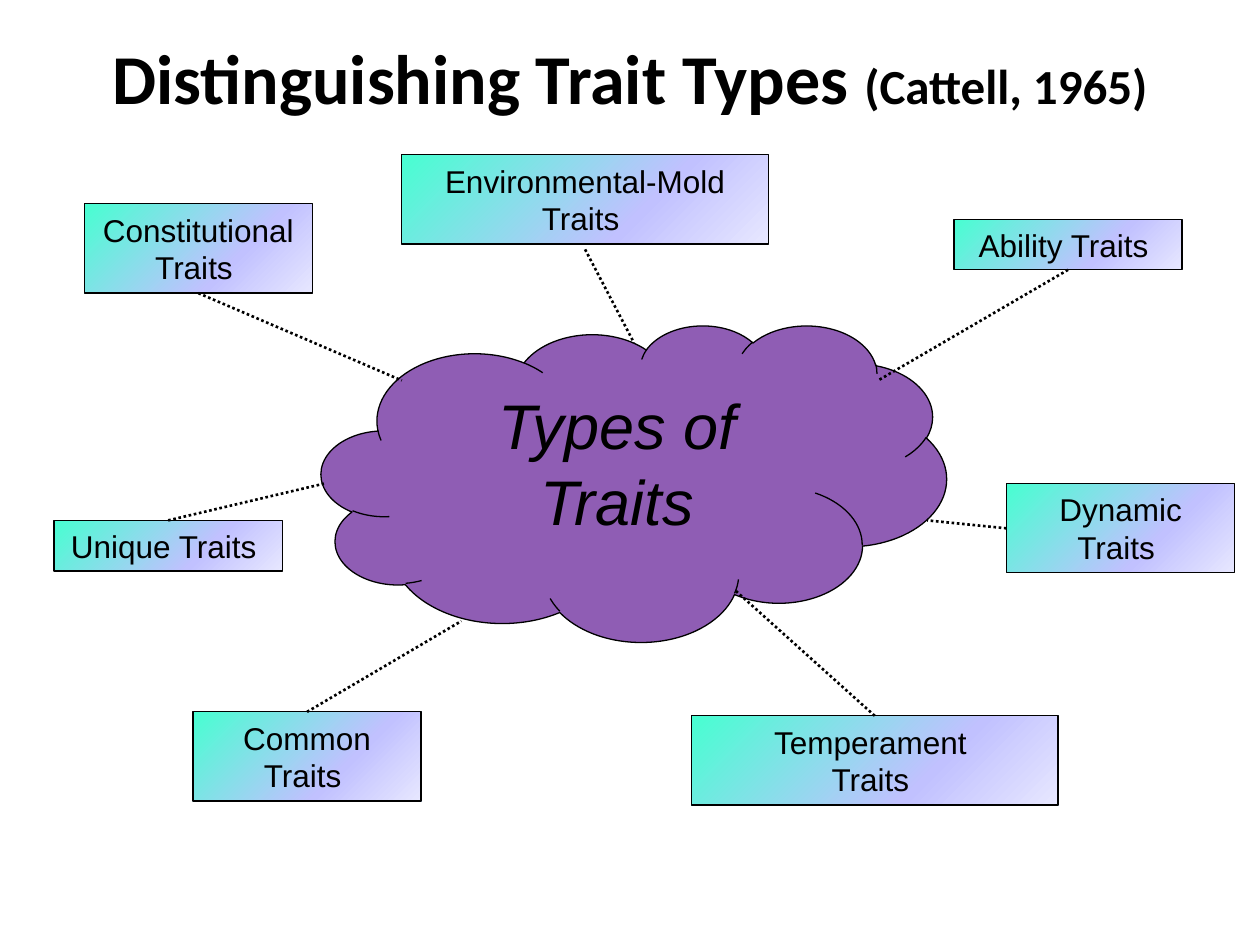
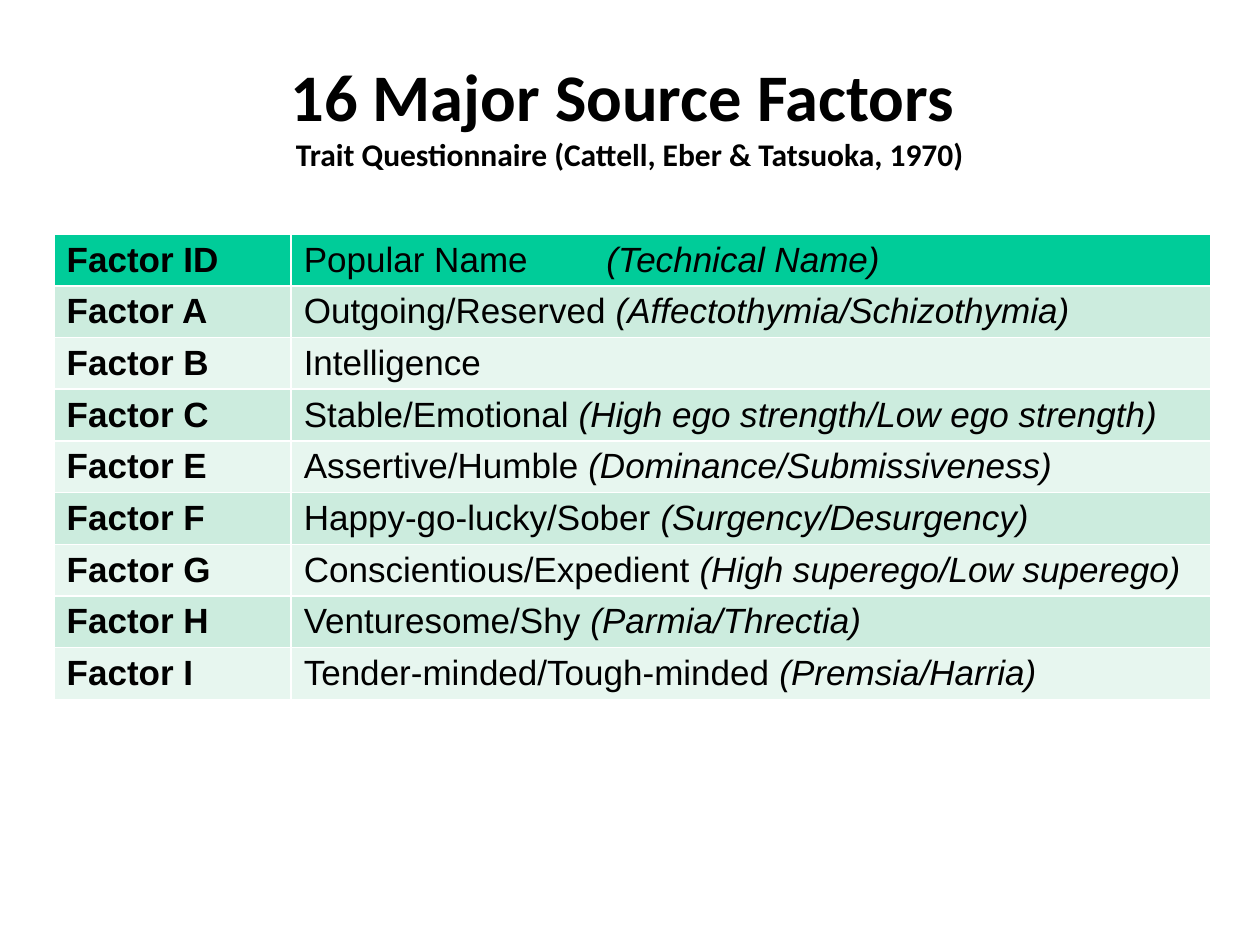
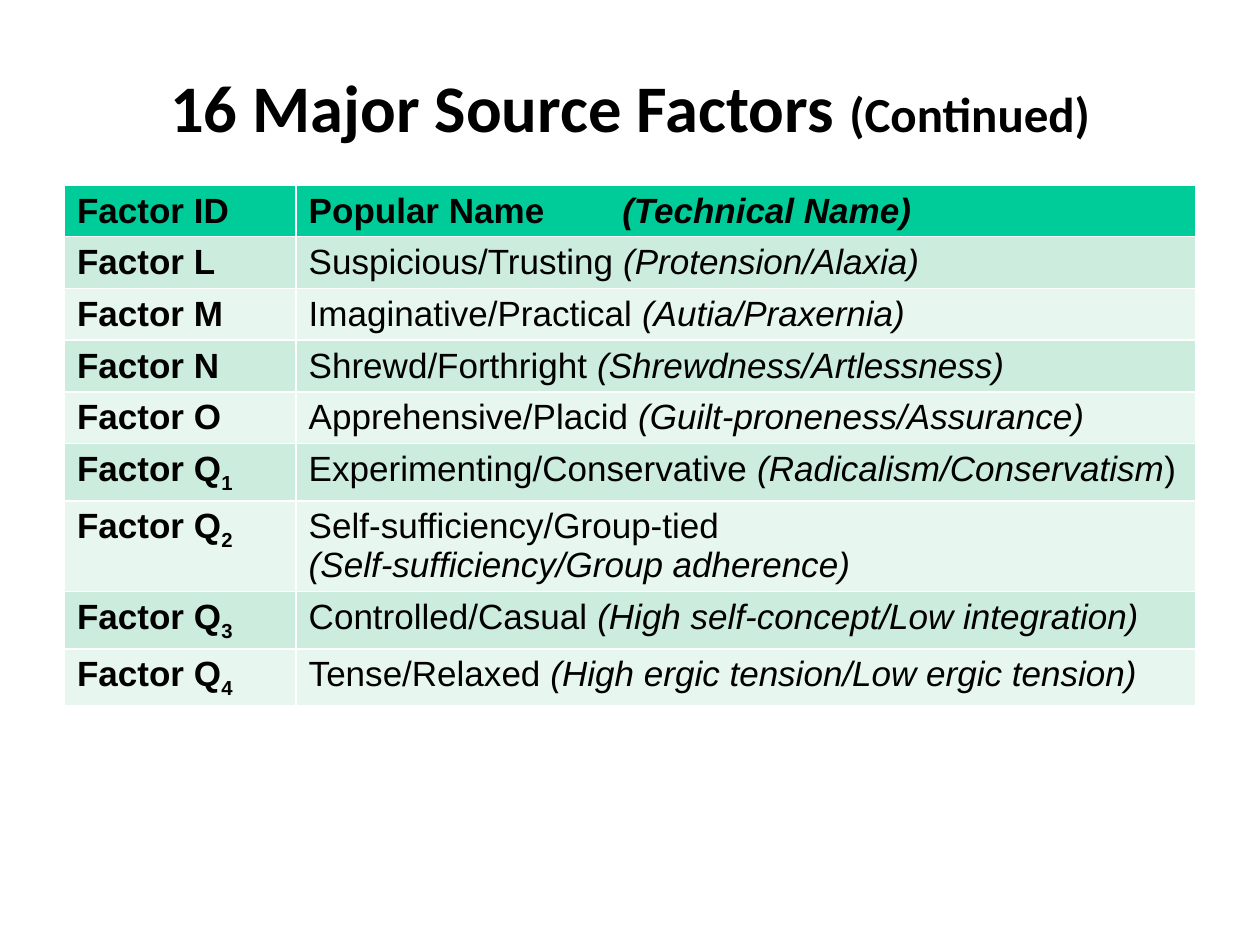
"""Build three slides on trait types and the 16 source factors."""
from copy import deepcopy

from lxml import etree
from pptx import Presentation
from pptx import util as u
from pptx.dml.color import RGBColor
from pptx.enum import dml, shapes, text
from pptx.oxml.ns import qn

BLACK, PURPLE = "000000", "7030A0"
HEADER_FILL, BAND_FILLS = "00CC99", ("CCECDE", "E7F6EF")
GRADIENT = ((0, "47FFD1"), (0.65, "C1C1FF"), (1, "E7E7FF"))
TITLE_FONT, BODY_FONT = "Calibri", "Arial"
SLIDE_WIDTH, SLIDE_HEIGHT = 25.4, 19.05

NARROW, WIDE = 4.6, 7.39
ONE_LINE, TWO_LINES = 1.02, 1.8
TOP, BOTTOM, BELOW, LEFT = (0.5, 0), (0.5, 1), (0.5, 1.06), (0, 0.5)
CLOUD = (6.48, 6.55, 12.6, 6.38)
CLOUD_LABEL = (8.94, 7.67, 7.01, 3.33)
TRAITS = (
    ("Constitutional Traits ", (1.7, 4.11, NARROW, TWO_LINES), BOTTOM, (8.1, 7.67)),
    ("Common Traits ", (3.89, 14.35, NARROW, TWO_LINES), TOP, (9.3, 12.52)),
    ("Dynamic\nTraits ", (20.29, 9.75, NARROW, TWO_LINES), LEFT, (18.69, 10.49)),
    ("Ability Traits ", (19.23, 4.42, NARROW, ONE_LINE), BOTTOM, (17.7, 7.67)),
    ("Environmental-Mold Traits ", (8.1, 3.12, WIDE, TWO_LINES), BELOW, (12.78, 6.91)),
    ("Temperament \nTraits ", (13.94, 14.43, WIDE, TWO_LINES), TOP, (14.83, 11.91)),
    ("Unique Traits ", (1.09, 10.49, NARROW, ONE_LINE), TOP, (6.53, 9.75)),
)

FACTOR_TABLES = (
    {
        "title": (("16 Major Source Factors ", 38),
                  ("\nTrait Questionnaire (Cattell, Eber & Tatsuoka, 1970)", 18)),
        "title_band": (0.94, 2.72),
        "origin": (1.09, 4.72),
        "columns": (4.78, 18.54),
        "bold_header": False,
        "header_tab": 6.1,
        "factors": (
            ("A", "Outgoing/Reserved ", "(Affectothymia/Schizothymia)"),
            ("B", "Intelligence"),
            ("C", "Stable/Emotional ", "(High ego strength/Low ego strength)"),
            ("E", "Assertive/Humble ", "(Dominance/Submissiveness)"),
            ("F", "Happy-go-lucky/Sober ", "(Surgency/Desurgency)"),
            ("G", "Conscientious/Expedient ", "(High superego/Low superego)"),
            ("H", "Venturesome/Shy ", "(Parmia/Threctia)"),
            ("I", "Tender-minded/Tough-minded ", "(Premsia/Harria)"),
        ),
    },
    {
        "title": (("16 Major Source Factors ", 38), ("(Continued)", 28)),
        "title_band": (0.53, 3.2),
        "origin": (1.3, 3.73),
        "columns": (4.67, 18.14),
        "bold_header": True,
        "header_tab": 6.32,
        "factors": (
            ("L", "Suspicious/Trusting ", "(Protension/Alaxia)"),
            ("M", "Imaginative/Practical ", "(Autia/Praxernia)"),
            ("N", "Shrewd/Forthright ", "(Shrewdness/Artlessness)"),
            ("O", "Apprehensive/Placid ", "(Guilt-proneness/Assurance)"),
            ("Q1", "Experimenting/Conservative ", "(Radicalism/Conservatism", ")"),
            ("Q2", "Self-sufficiency/Group-tied ", "\n(Self-sufficiency/Group adherence)"),
            ("Q3", "Controlled/Casual ", "(High self-concept/Low integration)"),
            ("Q4", "Tense/Relaxed ", "(High ergic tension/Low ergic tension)"),
        ),
    },
)
ROW_HEIGHT = 1.04


def color(value):
    return RGBColor.from_string(value)


def lengths(values):
    return [u.Cm(value) for value in values]


def style_font(font, size, name=BODY_FONT, bold=False, italic=False):
    font.size, font.name = u.Pt(size), name
    font.bold, font.italic = bold, italic
    font.color.rgb = color(BLACK)


def add_run(paragraph, words, size, **style):
    if words.startswith("\n"):
        paragraph.add_line_break()
    run = paragraph.add_run()
    run.text = words.lstrip("\n")
    style_font(run.font, size, **style)
    return run


def add_slide(presentation, title_runs, top, height):
    slide = presentation.slides.add_slide(presentation.slide_layouts[5])
    title = slide.shapes.title
    title.left, title.top, title.width, title.height = lengths((0, top, SLIDE_WIDTH, height))
    frame = title.text_frame
    frame.auto_size = text.MSO_AUTO_SIZE.NONE
    frame.vertical_anchor = text.MSO_ANCHOR.MIDDLE
    paragraph = frame.paragraphs[0]
    paragraph.alignment = text.PP_ALIGN.CENTER
    for words, size in title_runs:
        add_run(paragraph, words, size, name=TITLE_FONT, bold=True)
    return slide


def write_centered(shape, words, size, italic=False):
    frame = shape.text_frame
    frame.word_wrap = True
    frame.text = words
    for paragraph in frame.paragraphs:
        paragraph.alignment = text.PP_ALIGN.CENTER
        for run in paragraph.runs:
            style_font(run.font, size, italic=italic)


def add_outlined(slide, preset, box):
    shape = slide.shapes.add_shape(preset, *lengths(box))
    shape.shadow.inherit = False
    shape.line.color.rgb = color(BLACK)
    shape.line.width = u.Pt(0.75)
    return shape


def add_cloud(slide):
    cloud = add_outlined(slide, shapes.MSO_SHAPE.CLOUD, CLOUD)
    cloud.fill.solid()
    cloud.fill.fore_color.rgb = color(PURPLE)
    fill_color = cloud._element.spPr.find(qn("a:solidFill"))[0]
    etree.SubElement(fill_color, qn("a:alpha"), val="78000")
    label = slide.shapes.add_textbox(*lengths(CLOUD_LABEL))
    write_centered(label, "Types of Traits", 36, italic=True)


def add_trait(slide, label, box):
    shape = add_outlined(slide, shapes.MSO_SHAPE.RECTANGLE, box)
    shape.fill.gradient()
    shape.fill.gradient_angle = 315
    stop_list = shape._element.spPr.find(".//" + qn("a:gsLst"))
    stop_list.append(deepcopy(stop_list[-1]))
    for stop, (position, value) in zip(shape.fill.gradient_stops, GRADIENT):
        stop.position = position
        stop.color.rgb = color(value)
    write_centered(shape, label, 18)


def add_link(slide, box, side, end):
    left, top, width, height = box
    start = (left + width * side[0], top + height * side[1])
    link = slide.shapes.add_connector(shapes.MSO_CONNECTOR.STRAIGHT, *lengths(start + end))
    link.line.color.rgb = color(BLACK)
    link.line.width = u.Pt(1.5)
    link.line.dash_style = dml.MSO_LINE.ROUND_DOT
    etree.SubElement(link._element.spPr, qn("a:effectLst"))


def write_header(cells, bold, tab):
    add_run(cells[0].text_frame.paragraphs[0], "Factor ID", 20, bold=True)
    paragraph = cells[1].text_frame.paragraphs[0]
    tabs = etree.SubElement(paragraph._p.get_or_add_pPr(), qn("a:tabLst"))
    etree.SubElement(tabs, qn("a:tab"), pos=str(u.Cm(tab)), algn="l")
    add_run(paragraph, "Popular Name\t", 20, bold=bold)
    add_run(paragraph, "(Technical Name)", 20, bold=bold, italic=True)


def write_factor(cells, factor, *names):
    paragraph = cells[0].text_frame.paragraphs[0]
    add_run(paragraph, "Factor " + factor[0], 20, bold=True)
    if factor[1:]:
        subscript = add_run(paragraph, factor[1:], 20, bold=True)
        subscript._r.get_or_add_rPr().set("baseline", "-25000")
    paragraph = cells[1].text_frame.paragraphs[0]
    for index, name in enumerate(names):
        add_run(paragraph, name, 20, italic=index == 1)


def add_factor_table(slide, content):
    factors, columns = content["factors"], content["columns"]
    row_count = len(factors) + 1
    size = (sum(columns), ROW_HEIGHT * row_count)
    table = slide.shapes.add_table(row_count, len(columns), *lengths(content["origin"] + size)).table
    for column, width in zip(table.columns, columns):
        column.width = u.Cm(width)
    for index, row in enumerate(table.rows):
        row.height = u.Cm(ROW_HEIGHT)
        if index == 0:
            write_header(row.cells, content["bold_header"], content["header_tab"])
        else:
            write_factor(row.cells, *factors[index - 1])
        for cell in row.cells:
            cell.fill.solid()
            cell.fill.fore_color.rgb = color(BAND_FILLS[(index - 1) % 2] if index else HEADER_FILL)


def main():
    presentation = Presentation()
    presentation.slide_width, presentation.slide_height = lengths((SLIDE_WIDTH, SLIDE_HEIGHT))

    title = (("Distinguishing Trait Types ", 40), ("(Cattell, 1965)", 28))
    slide = add_slide(presentation, title, 0.33, 2.41)
    add_cloud(slide)
    for label, box, _, _ in TRAITS:
        add_trait(slide, label, box)
    for _, box, side, end in TRAITS:
        add_link(slide, box, side, end)

    for content in FACTOR_TABLES:
        slide = add_slide(presentation, content["title"], *content["title_band"])
        add_factor_table(slide, content)

    presentation.save("out.pptx")


if __name__ == "__main__":
    main()
